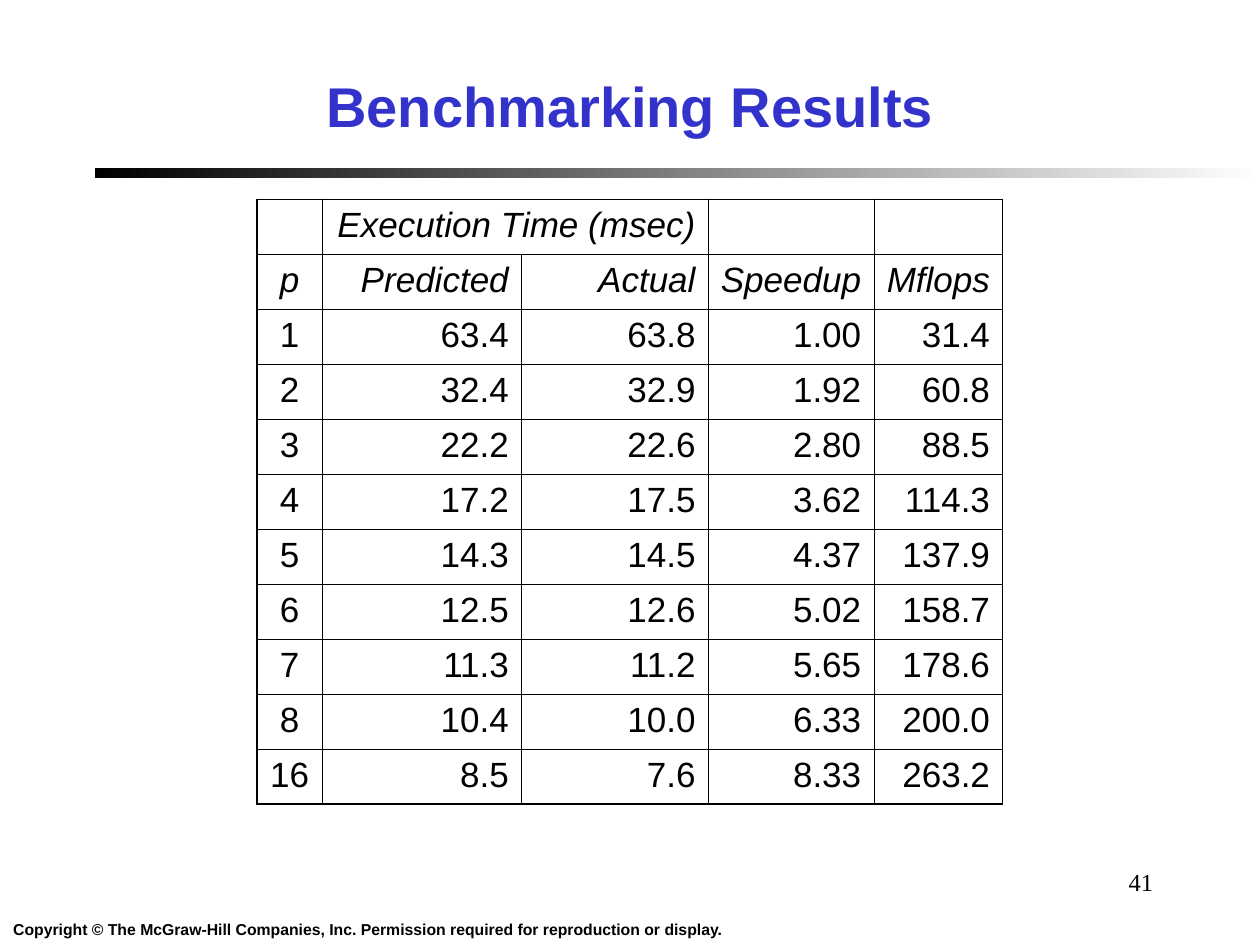
from pptx import Presentation
from pptx.dml.color import RGBColor
from pptx.enum.shapes import MSO_SHAPE
from pptx.enum.text import MSO_ANCHOR, MSO_AUTO_SIZE, PP_ALIGN
from pptx.oxml.ns import qn
from pptx.util import Pt
from lxml.etree import SubElement

ROWS = [
    ["", "Execution Time (msec)", "", "", ""],
    ["p", "Predicted", "Actual", "Speedup", "Mflops"],
    ["1", "63.4", "63.8", "1.00", "31.4"],
    ["2", "32.4", "32.9", "1.92", "60.8"],
    ["3", "22.2", "22.6", "2.80", "88.5"],
    ["4", "17.2", "17.5", "3.62", "114.3"],
    ["5", "14.3", "14.5", "4.37", "137.9"],
    ["6", "12.5", "12.6", "5.02", "158.7"],
    ["7", "11.3", "11.2", "5.65", "178.6"],
    ["8", "10.4", "10.0", "6.33", "200.0"],
    ["16", "8.5", "7.6", "8.33", "263.2"],
]
HEADER_ROWS = 2
COLUMN_WIDTHS = [37, 114, 106.7, 94.7, 73.6]
ROW_HEIGHT = 31.43


def color(value):
    return RGBColor.from_string(value)


class SlideBuilder:
    font_name = "Arial"
    text_color = "000000"
    title_color = "3333CC"
    line_color = "000000"
    outer_line, inner_line = 1.08, 0.45

    def __init__(self, slide):
        self.slide = slide

    def set_text(self, text_frame, text, size, align, name=None, fill=None,
                 bold=False, italic=False):
        text_frame.text = text
        paragraph = text_frame.paragraphs[0]
        paragraph.alignment = align
        for run in paragraph.runs:
            font = run.font
            font.name = name or self.font_name
            font.size = Pt(size)
            font.bold, font.italic = bold, italic
            font.color.rgb = color(fill or self.text_color)

    def title(self, text, left, top, width, height):
        shape = self.slide.shapes.title
        shape.left, shape.top = Pt(left), Pt(top)
        shape.width, shape.height = Pt(width), Pt(height)
        text_frame = shape.text_frame
        text_frame.auto_size = MSO_AUTO_SIZE.NONE
        text_frame.vertical_anchor = MSO_ANCHOR.MIDDLE
        self.set_text(text_frame, text, 32, PP_ALIGN.CENTER,
                      fill=self.title_color, bold=True)

    def gradient_bar(self, left, top, width, height, start, end):
        shape = self.slide.shapes.add_shape(
            MSO_SHAPE.RECTANGLE, Pt(left), Pt(top), Pt(width), Pt(height))
        shape.shadow.inherit = False
        shape.line.fill.background()
        shape.fill.gradient()
        shape.fill.gradient_angle = 0
        for stop, position, value in zip(shape.fill.gradient_stops, (0, 1), (start, end)):
            stop.position = position
            stop.color.rgb = color(value)

    def text_box(self, text, left, top, width, height, size, align, wrap=True, **style):
        shape = self.slide.shapes.add_textbox(Pt(left), Pt(top), Pt(width), Pt(height))
        shape.text_frame.word_wrap = wrap
        self.set_text(shape.text_frame, text, size, align, **style)

    def cell_borders(self, cell, outer_sides):
        properties = cell._tc.get_or_add_tcPr()
        for side in "LRTB":
            width = self.outer_line if side in outer_sides else self.inner_line
            line = SubElement(properties, qn(f"a:ln{side}"), w=str(Pt(width)))
            fill = SubElement(line, qn("a:solidFill"))
            SubElement(fill, qn("a:srgbClr"), val=self.line_color)

    def table(self, rows, left, top, widths, row_height, header_rows):
        row_count, column_count = len(rows), len(widths)
        table = self.slide.shapes.add_table(
            row_count, column_count, Pt(left), Pt(top),
            Pt(sum(widths)), Pt(row_height * row_count)).table
        table.first_row = table.horz_banding = False
        for column, width in zip(table.columns, widths):
            column.width = Pt(width)
        for i, values in enumerate(rows):
            table.rows[i].height = Pt(row_height)
            for j, value in enumerate(values):
                cell = table.cell(i, j)
                edges = {"L": j == 0, "R": j == column_count - 1,
                         "T": i == 0, "B": i == row_count - 1}
                self.cell_borders(cell, [side for side, outer in edges.items() if outer])
                cell.fill.background()
                align = PP_ALIGN.CENTER if j == 0 else PP_ALIGN.RIGHT
                self.set_text(cell.text_frame, value, 20, align, italic=i < header_rows)
        return table


def main():
    presentation = Presentation()
    presentation.slide_width, presentation.slide_height = Pt(720), Pt(540)
    builder = SlideBuilder(presentation.slides.add_slide(presentation.slide_layouts[5]))

    # Title and rule below it
    builder.gradient_bar(54, 96, 666, 6, "000000", "FFFFFF")
    builder.title("Benchmarking Results", 18, 24, 684, 72)

    # Results table, with one heading over both time columns
    table = builder.table(ROWS, 147, 114, COLUMN_WIDTHS, ROW_HEIGHT, HEADER_ROWS)
    table.cell(0, 1).merge(table.cell(0, 2))

    # Footer
    builder.text_box(
        "Copyright © The McGraw-Hill Companies, Inc. "
        "Permission required for reproduction or display.",
        0, 522, 420, 18, 9, PP_ALIGN.CENTER, wrap=False, bold=True)
    builder.text_box("41", 516, 492, 150, 36, 14, PP_ALIGN.RIGHT, name="Times New Roman")

    presentation.save("out.pptx")


if __name__ == "__main__":
    main()
